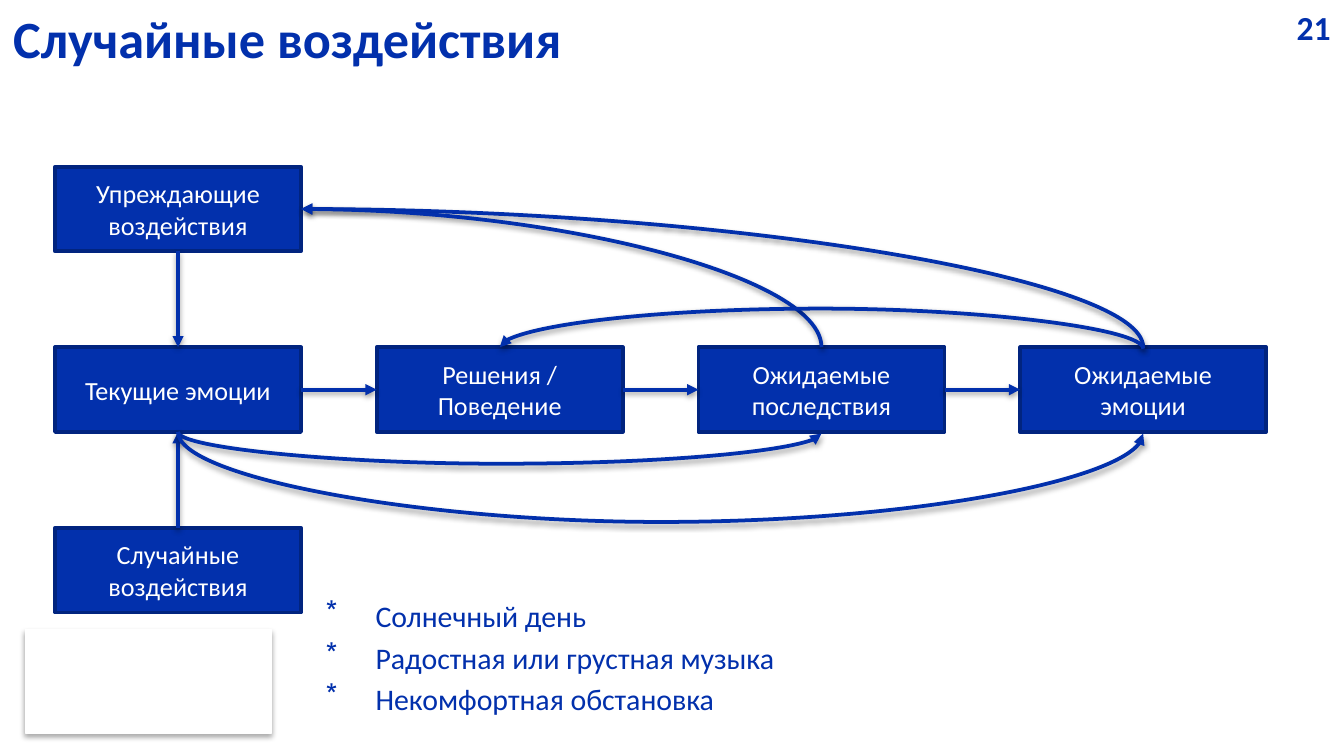
from lxml import etree
from pptx import Presentation
from pptx import util as u
from pptx.dml import color
from pptx.enum import shapes, text
from pptx.oxml import ns

BLUE, NAVY, WHITE = "0230AC", "01247F", "FFFFFF"


def rgb(value):
    return color.RGBColor.from_string(value)


def child(parent, tag, **attrs):
    return etree.SubElement(parent, ns.qn(tag), {k: str(v) for k, v in attrs.items()})


class Deck:
    font = "Calibri"

    def __init__(self, width, height):
        self.prs = Presentation()
        self.prs.slide_width, self.prs.slide_height = u.Cm(width), u.Cm(height)
        self.s = self.prs.slides.add_slide(self.prs.slide_layouts[6])

    def fill_text(self, tf, lines, size, colour, bold=False, align=None, bullet=None, gap=0):
        tf.word_wrap = True
        for i, line in enumerate(lines):
            p = tf.paragraphs[0] if i == 0 else tf.add_paragraph()
            if bullet:
                pPr = p._p.get_or_add_pPr()
                pPr.set("marL", str(u.Cm(0.96)))
                pPr.set("indent", str(-u.Cm(0.94)))
                child(child(pPr, "a:buClr"), "a:srgbClr", val=colour)
                child(pPr, "a:buChar", char=bullet)
            if align is not None:
                p.alignment = align
            if i and gap:
                p.space_before = u.Pt(gap)
            r = p.add_run()
            r.text = line
            r.font.name, r.font.size, r.font.bold = self.font, u.Pt(size), bold
            r.font.color.rgb = rgb(colour)

    def label(self, x, y, w, h, lines, size, **style):
        sp = self.s.shapes.add_textbox(u.Cm(x), u.Cm(y), u.Cm(w), u.Cm(h))
        self.fill_text(sp.text_frame, lines, size, BLUE, **style)

    def box(self, x, y, w, h, lines=(), fill=BLUE, line=NAVY, weight=2):
        sp = self.s.shapes.add_shape(shapes.MSO_SHAPE.RECTANGLE,
                                     u.Cm(x), u.Cm(y), u.Cm(w), u.Cm(h))
        sp.shadow.inherit = False
        sp.fill.solid()
        sp.fill.fore_color.rgb = rgb(fill)
        sp.line.color.rgb = rgb(line)
        sp.line.width = u.Pt(weight)
        sp.text_frame.vertical_anchor = text.MSO_ANCHOR.MIDDLE
        self.fill_text(sp.text_frame, lines, 14, WHITE, align=text.PP_ALIGN.CENTER)
        return sp

    def shade(self, sp, dist, alpha):
        spPr = sp._element.spPr
        effects = spPr.find(ns.qn("a:effectLst"))
        if effects is None:
            effects = child(spPr, "a:effectLst")
        shadow = child(effects, "a:outerShdw", blurRad=u.Pt(3.1), dist=u.Pt(dist),
                       dir=5400000, rotWithShape=0)
        child(child(shadow, "a:srgbClr", val="000000"), "a:alpha", val=alpha * 1000)

    def connector(self, kind, x1=0, y1=0, x2=0, y2=0):
        cx = self.s.shapes.add_connector(kind, u.Cm(x1), u.Cm(y1), u.Cm(x2), u.Cm(y2))
        cx.line.color.rgb = rgb(BLUE)
        cx.line.width = u.Pt(2)
        child(cx.line._get_or_add_ln(), "a:tailEnd", type="triangle")
        self.shade(cx, 1.6, 38)
        return cx

    def arrow(self, start, start_side, end, end_side):
        cx = self.connector(shapes.MSO_CONNECTOR.STRAIGHT)
        cx.begin_connect(start, start_side)
        cx.end_connect(end, end_side)

    def curve(self, x1, y1, x2, y2, depth=None):
        """Quarter turn between two points, or an arch when depth is given."""
        w, h = abs(y2 - y1), abs(x2 - x1)
        left, top = (x1 + x2 - w) / 2, (y1 + y2 - h) / 2
        cx = self.connector(shapes.MSO_CONNECTOR.CURVE, left, top, left + w, top + h)
        spPr = cx._element.spPr
        xfrm, geom = spPr.find(ns.qn("a:xfrm")), spPr.find(ns.qn("a:prstGeom"))
        xfrm.set("rot", "16200000")
        xfrm.set("flipV" if x2 < x1 else "flipH", "1")
        if depth is None:
            geom.set("prst", "curvedConnector2")
        else:
            child(geom.find(ns.qn("a:avLst")), "a:gd", name="adj1",
                  fmla=f"val {round(depth / w * 100000)}")


def main():
    d = Deck(25.4, 14.28)

    # Background panel, page number and title
    d.shade(d.box(0.48, 11.89, 4.65, 1.96, fill=WHITE, line=WHITE, weight=0.75), 1.8, 35)
    d.label(23.9, 0, 1.5, 1.02, ["21"], 18, bold=True, align=text.PP_ALIGN.RIGHT)
    d.label(0, 0, 18.52, 1.35, ["Случайные воздействия"], 28, bold=True)

    # Boxes: one column on the left, one row in the middle
    x0, y0, w, h, dx, dy = 1.04, 3.15, 4.65, 1.6, 6.08, 3.41
    mid = y0 + dy
    random = d.box(x0, mid + dy, w, h, ["Случайные воздействия"])
    anticipatory = d.box(x0, y0, w, h, ["Упреждающие воздействия"])
    row = [d.box(x0 + i * dx, mid, w, h, lines) for i, lines in enumerate([
        ["Текущие эмоции"], ["Решения /", "Поведение"],
        ["Ожидаемые", "последствия"], ["Ожидаемые", "эмоции"]])]

    # Straight arrows
    d.arrow(anticipatory, 2, row[0], 0)
    d.arrow(random, 0, row[0], 2)
    for left, right in zip(row, row[1:]):
        d.arrow(left, 3, right, 1)

    # Curved arrows
    centre = [x0 + w / 2 + i * dx for i in range(4)]
    bottom, step = mid + h, 0.03
    for i in (3, 2):
        d.curve(centre[i], mid, x0 + w, y0 + h / 2)
    d.curve(centre[3], mid + step, centre[1], mid, 0.76)
    for i, depth in ((2, 0.6), (3, 1.7)):
        d.curve(centre[0], bottom, centre[i], bottom + step, depth)

    # Examples
    d.label(5.89, 11.16, 12.62, 2.53,
            ["Солнечный день", "Радостная или грустная музыка", "Некомфортная обстановка"],
            16, bullet="*", gap=3.2)

    d.prs.save("out.pptx")


if __name__ == "__main__":
    main()
